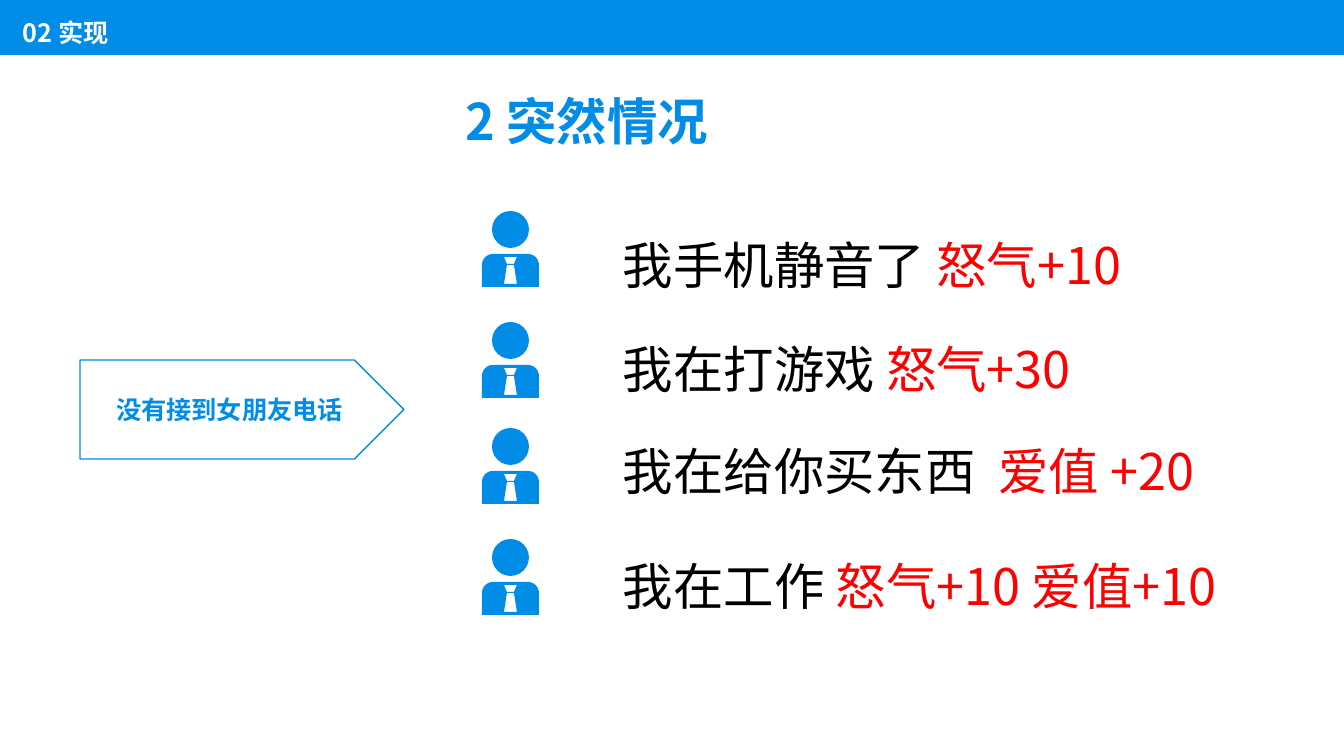
from dataclasses import dataclass
from math import cos, pi, sin
from lxml.etree import SubElement
from pptx import Presentation
from pptx.dml.color import RGBColor
from pptx.enum.shapes import MSO_SHAPE
from pptx.enum.text import MSO_ANCHOR, PP_ALIGN
from pptx.oxml.ns import qn
from pptx.util import Pt

SCALE = 914400 / 100.8
COLORS = {"blue": "008CE7", "white": "FFFFFF", "black": "000000", "red": "FE0000"}
NOTO, QUICKSAND = "Noto Sans CJK SC", "Quicksand"
PERSON_LEFT, BODY_TOP, BODY_BOTTOM, BODY_WIDTH, SHOULDER = 482, 43, 76, 57, 11
KNOT = [(22, 46), (35, 46), (32, 53), (25, 53)]
BLADE = [(25, 54), (32, 54), (35, 73), (22, 73)]


@dataclass
class TextPart:
    text: str
    color: str
    size: int = 36
    font: str = NOTO
    bold: bool = False


@dataclass
class Reply:
    person_top: int
    text_top: int
    excuse: str
    effect: str


REPLIES = [
    Reply(211, 211, "我手机静音了 ", "怒气+10"),
    Reply(322, 315, "我在打游戏 ", "怒气+30"),
    Reply(428, 417, "我在给你买东西  ", "爱值 +20"),
    Reply(539, 532, "我在工作 ", "怒气+10 爱值+10"),
]


def px(length: float) -> int:
    return round(length * SCALE)


def rgb(name: str) -> RGBColor:
    return RGBColor.from_string(COLORS[name])


def paint(shape, fill: str, line: str | None = None) -> None:
    shape.shadow.inherit = False
    shape.fill.solid()
    shape.fill.fore_color.rgb = rgb(fill)
    if line:
        shape.line.color.rgb = rgb(line)
        shape.line.width = Pt(1)
    else:
        shape.line.fill.background()


def add_preset(shapes, kind, box: tuple[int, int, int, int], fill: str, line: str | None = None):
    shape = shapes.add_shape(kind, *map(px, box))
    paint(shape, fill, line)
    return shape


def write(paragraph, parts: list[TextPart]) -> None:
    for part in parts:
        run = paragraph.add_run()
        run.text = part.text
        run.font.size = Pt(part.size)
        run.font.bold = part.bold
        run.font.name = part.font
        run.font.color.rgb = rgb(part.color)
        SubElement(run.font._element, qn("a:ea")).set("typeface", part.font)


def add_text(slide, box: tuple[int, int, int, int], parts: list[TextPart],
             align=PP_ALIGN.LEFT, anchor=MSO_ANCHOR.TOP, wrap: bool = True) -> None:
    frame = slide.shapes.add_textbox(*map(px, box)).text_frame
    frame.word_wrap = wrap
    frame.vertical_anchor = anchor
    paragraph = frame.paragraphs[0]
    paragraph.alignment = align
    paragraph.line_spacing = 1.3
    write(paragraph, parts)


def body_outline() -> list[tuple[float, float]]:
    angles = [step * pi / 16 for step in range(9)]
    left = [(SHOULDER * (1 - cos(angle)), BODY_TOP + SHOULDER * (1 - sin(angle))) for angle in angles]
    right = [(BODY_WIDTH - x, y) for x, y in reversed(left)]
    return left + right + [(BODY_WIDTH, BODY_BOTTOM), (0, BODY_BOTTOM)]


def add_person(slide, top: int) -> None:
    group = slide.shapes.add_group_shape()
    add_preset(group.shapes, MSO_SHAPE.OVAL, (PERSON_LEFT + 10, top, 37, 37), "blue")
    outline, *tie = [[(px(PERSON_LEFT + x), px(top + y)) for x, y in contour]
                     for contour in (body_outline(), KNOT, BLADE)]
    builder = group.shapes.build_freeform(*outline[0])
    builder.add_line_segments(outline[1:], close=True)
    for contour in tie:
        builder.move_to(*contour[0])
        builder.add_line_segments(contour[1:], close=True)
    paint(builder.convert_to_shape(), "blue")


def add_situation(slide) -> None:
    arrow = add_preset(slide.shapes, MSO_SHAPE.PENTAGON, (80, 360, 324, 99), "white", "blue")
    frame = arrow.text_frame
    frame.vertical_anchor = MSO_ANCHOR.MIDDLE
    paragraph = frame.paragraphs[0]
    paragraph.alignment = PP_ALIGN.CENTER
    write(paragraph, [TextPart("没有接到女朋友电话", "blue", 18, QUICKSAND, True)])


def main() -> None:
    """Build the slide of replies to a missed call and save it."""
    presentation = Presentation()
    presentation.slide_width, presentation.slide_height = px(1344), px(756)
    slide = presentation.slides.add_slide(presentation.slide_layouts[6])
    add_preset(slide.shapes, MSO_SHAPE.RECTANGLE, (0, 0, 1344, 55), "blue")
    add_text(slide, (13, 4, 1317, 47), [TextPart("02 实现", "white", 18, bold=True)],
             anchor=MSO_ANCHOR.MIDDLE)
    add_situation(slide)
    for reply in REPLIES:
        add_person(slide, reply.person_top)
        add_text(slide, (613, reply.text_top, 684, 82),
                 [TextPart(reply.excuse, "black"), TextPart(reply.effect, "red")])
    add_text(slide, (446, 67, 281, 90),
             [TextPart("2 ", "blue", bold=True), TextPart("突然情况", "blue", font=QUICKSAND, bold=True)],
             align=PP_ALIGN.CENTER, wrap=False)
    presentation.save("out.pptx")


main()
